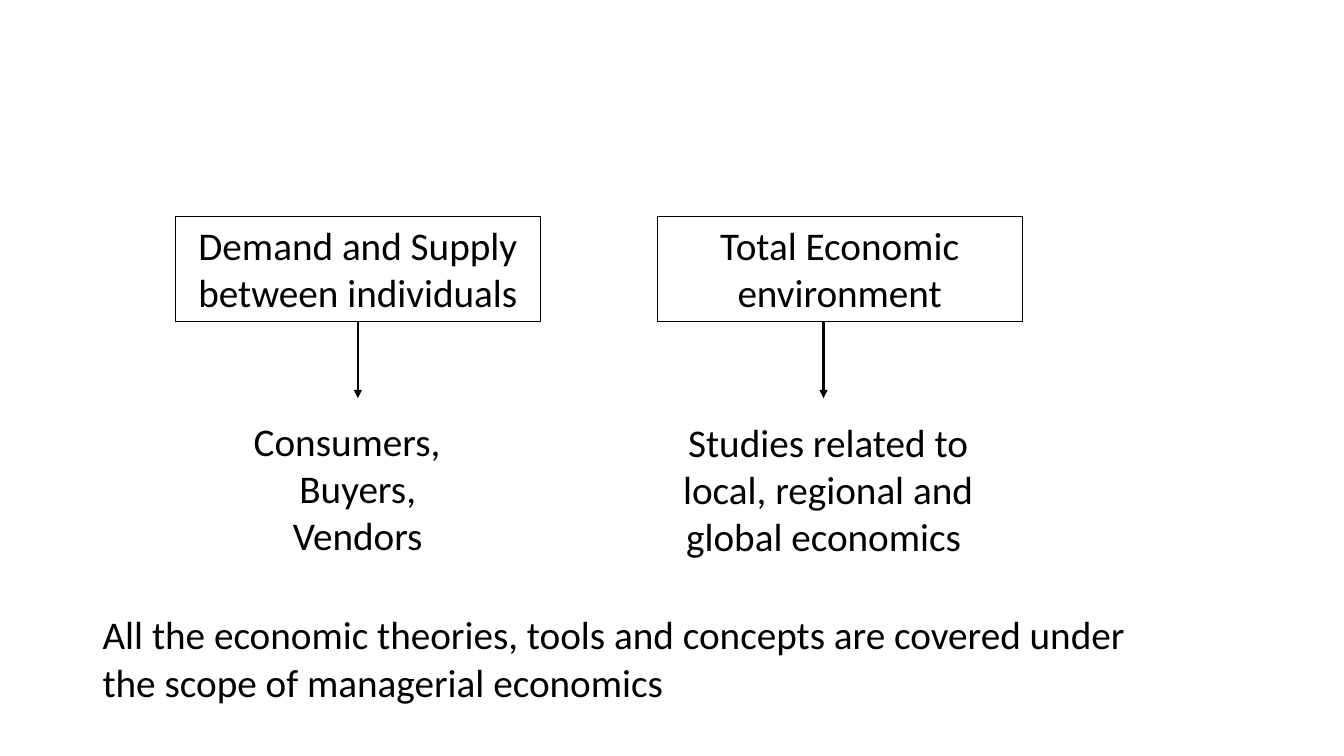
from dataclasses import dataclass

from lxml import etree
from pptx import Presentation
from pptx.dml.color import RGBColor
from pptx.enum.shapes import MSO_CONNECTOR, MSO_SHAPE
from pptx.enum.text import MSO_ANCHOR, MSO_AUTO_SIZE, PP_ALIGN
from pptx.oxml.ns import qn
from pptx.util import Pt

RECT = MSO_SHAPE.RECTANGLE
STRAIGHT = MSO_CONNECTOR.STRAIGHT
TOP = MSO_ANCHOR.TOP
GROW = MSO_AUTO_SIZE.SHAPE_TO_FIT_TEXT
LEFT, CENTER = PP_ALIGN.LEFT, PP_ALIGN.CENTER
BOTTOM_SIDE = 2


@dataclass
class Theme:
    font: str = "Calibri"
    size: float = 28
    ink: RGBColor = RGBColor(0, 0, 0)
    box_line: float = 0.75
    arrow_line: float = 1.5


class SlideBuilder:
    def __init__(self, s, theme):
        self.s = s
        self.theme = theme

    def set_text(self, sp, lines):
        """Fill a shape with (text, alignment) paragraphs."""
        tf = sp.text_frame
        tf.word_wrap = True
        tf.auto_size = GROW
        tf.vertical_anchor = TOP
        for i, (text, align) in enumerate(lines):
            p = tf.add_paragraph() if i else tf.paragraphs[0]
            p.text = text
            p.alignment = align
            p.font.name = self.theme.font
            p.font.size = Pt(self.theme.size)
            p.font.color.rgb = self.theme.ink

    def box(self, x, y, w, h, text):
        sp = self.s.shapes.add_shape(RECT, Pt(x), Pt(y), Pt(w), Pt(h))
        sp.shadow.inherit = False
        sp.fill.background()
        sp.line.color.rgb = self.theme.ink
        sp.line.width = Pt(self.theme.box_line)
        self.set_text(sp, [(text, CENTER)])
        return sp

    def text(self, x, y, w, h, lines):
        sp = self.s.shapes.add_textbox(Pt(x), Pt(y), Pt(w), Pt(h))
        self.set_text(sp, lines)

    def arrow_down(self, x, top, bottom):
        c = self.s.shapes.add_connector(STRAIGHT, Pt(x), Pt(top), Pt(x), Pt(bottom))
        c.line.color.rgb = self.theme.ink
        c.line.width = Pt(self.theme.arrow_line)
        props = c.element.spPr
        etree.SubElement(props.find(qn("a:ln")), qn("a:tailEnd"), type="triangle")
        etree.SubElement(props, qn("a:effectLst"))
        return c


def main():
    prs = Presentation()
    prs.slide_width, prs.slide_height = Pt(960), Pt(540)
    b = SlideBuilder(prs.slides.add_slide(prs.slide_layouts[6]), Theme())

    box_y, box_w, box_h = 154.4, 260.8, 75.1
    box_bottom, arrow_end = box_y + box_h, 284.4
    micro_x, macro_x = 125.2, 469.4

    micro = b.box(micro_x, box_y, box_w, box_h, "Demand and Supply between individuals")
    b.box(macro_x, box_y, box_w, box_h, "Total Economic environment")

    micro_arrow = b.arrow_down(micro_x + box_w / 2, box_bottom, arrow_end)
    micro_arrow.begin_connect(micro, BOTTOM_SIDE)
    b.arrow_down(588.2, box_bottom, arrow_end)

    b.text(174.2, 294.5, 162.7, 108.7,
           [("Consumers,", LEFT), ("Buyers,", CENTER), ("Vendors", CENTER)])
    b.text(macro_x, 295.2, 244.1, 108.7,
           [("Studies related to local, regional and global economics ", CENTER)])
    b.text(66.2, 432.7, 755.3, 75.1,
           [("All the economic theories, tools and concepts are covered under "
             "the scope of managerial economics", LEFT)])

    prs.save("out.pptx")


if __name__ == "__main__":
    main()
